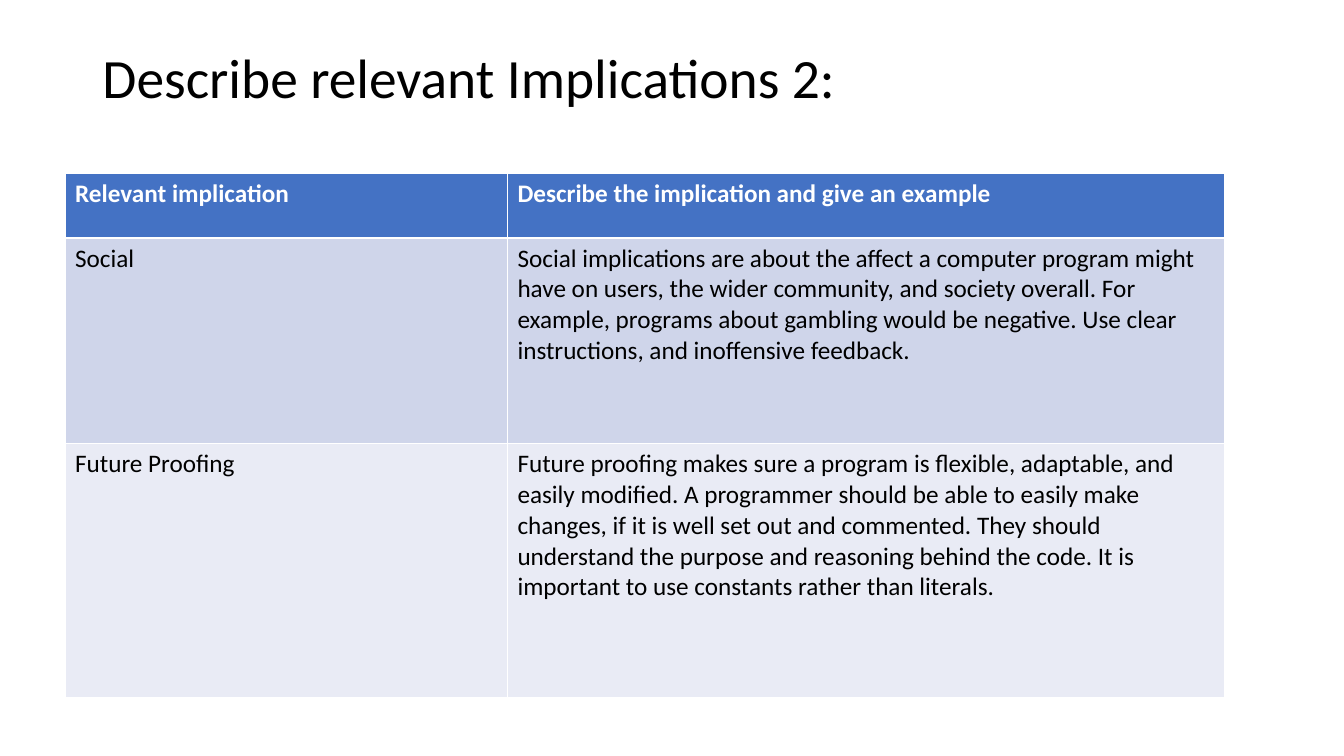
from pptx import Presentation
from pptx.dml.color import RGBColor
from pptx.enum import text
from pptx.util import Pt

WHITE = RGBColor(0xFF, 0xFF, 0xFF)
BLACK = RGBColor(0x00, 0x00, 0x00)
BLUE = RGBColor(0x44, 0x72, 0xC4)
BAND_DARK = RGBColor(0xCF, 0xD5, 0xEA)
BAND_LIGHT = RGBColor(0xE9, 0xEB, 0xF5)


def format_run(r, size, color, bold=False):
    r.font.name = "Calibri"
    r.font.size = Pt(size)
    r.font.color.rgb = color
    r.font.bold = bold


prs = Presentation()
prs.slide_width, prs.slide_height = Pt(960), Pt(540)
s = prs.slides.add_slide(prs.slide_layouts[5])

# Title
title = s.shapes.title
title.left, title.top, title.width, title.height = Pt(66), Pt(28.8), Pt(828), Pt(44)
tf = title.text_frame
tf.text = "Describe relevant Implications 2:"
tf.word_wrap = True
tf.auto_size = text.MSO_AUTO_SIZE.NONE
tf.vertical_anchor = text.MSO_ANCHOR.MIDDLE
p = tf.paragraphs[0]
p.alignment = text.PP_ALIGN.LEFT
p.line_spacing = 1.15
format_run(p.runs[0], 39.6, BLACK)

# Implications table: height, fill, font colour, cell texts
rows = [
    (46, BLUE, WHITE,
     ["Relevant implication", "Describe the implication and give an example"]),
    (147, BAND_DARK, BLACK,
     ["Social",
      "Social implications are about the affect a computer program might have on "
      "users, the wider community, and society overall. For example, programs about "
      "gambling would be negative. Use clear instructions, and inoffensive feedback."]),
    (181.5, BAND_LIGHT, BLACK,
     ["Future Proofing",
      "Future proofing makes sure a program is flexible, adaptable, and easily "
      "modified. A programmer should be able to easily make changes, if it is well "
      "set out and commented. They should understand the purpose and reasoning "
      "behind the code. It is important to use constants rather than literals."]),
]
col_widths = [316, 512]
table = s.shapes.add_table(len(rows), len(col_widths), Pt(46.5), Pt(124),
                           Pt(sum(col_widths)), Pt(sum(row[0] for row in rows))).table
for col, width in zip(table.columns, col_widths):
    col.width = Pt(width)
for i, (height, fill, color, texts) in enumerate(rows):
    table.rows[i].height = Pt(height)
    for cell, words in zip(table.rows[i].cells, texts):
        cell.fill.solid()
        cell.fill.fore_color.rgb = fill
        cell.text_frame.text = words
        format_run(cell.text_frame.paragraphs[0].runs[0], 18, color, bold=i == 0)

prs.save("out.pptx")
